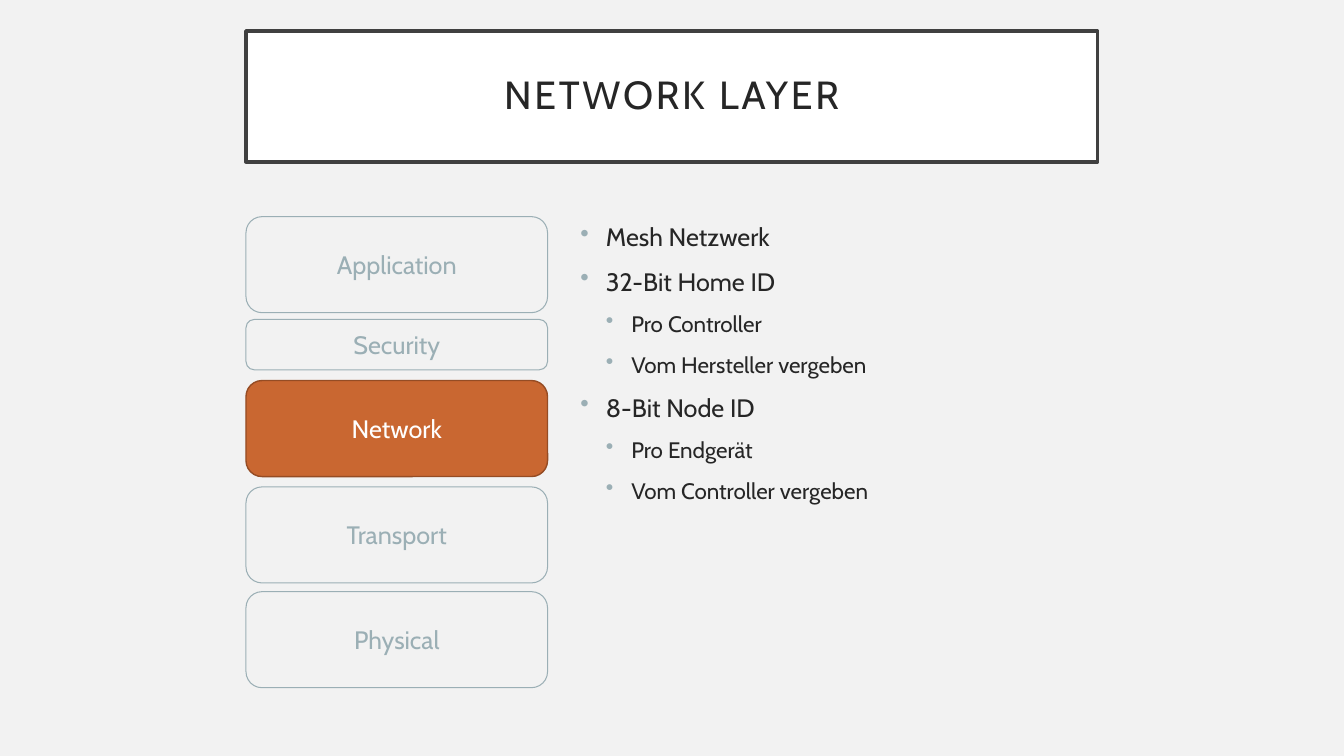
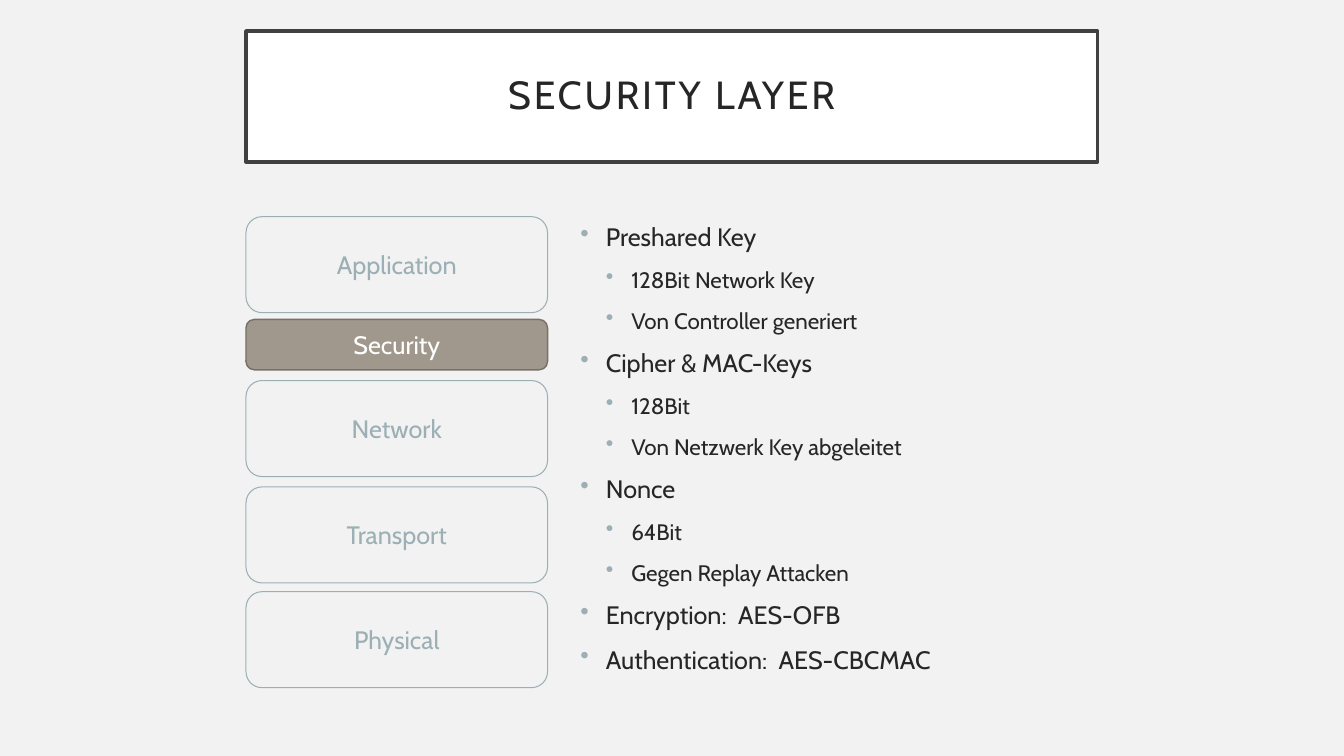
import pptx
import pptx.dml.color
import pptx.enum.shapes
import pptx.enum.text
import pptx.oxml
import pptx.oxml.ns
import pptx.util

Cm = pptx.util.Cm
Pt = pptx.util.Pt
Align = pptx.enum.text.PP_ALIGN
Anchor = pptx.enum.text.MSO_ANCHOR
Shape = pptx.enum.shapes.MSO_SHAPE

# Content: bullets are (level, text)
SLIDES = [
    {
        "title": "NETWORK LAYER",
        "active": "Network",
        "fill": "C96731",
        "line": "954C24",
        "points": [
            (0, "Mesh Netzwerk"),
            (0, "32-Bit Home ID"),
            (1, "Pro Controller"),
            (1, "Vom Hersteller vergeben"),
            (0, "8-Bit Node ID"),
            (1, "Pro Endgerät"),
            (1, "Vom Controller vergeben"),
        ],
    },
    {
        "title": "SECURITY LAYER",
        "active": "Security",
        "fill": "A0988C",
        "line": "767068",
        "points": [
            (0, "Preshared Key"),
            (1, "128Bit Network Key"),
            (1, "Von Controller generiert"),
            (0, "Cipher & MAC-Keys"),
            (1, "128Bit"),
            (1, "Von Netzwerk Key abgeleitet"),
            (0, "Nonce"),
            (1, "64Bit"),
            (1, "Gegen Replay Attacken"),
            (0, "Encryption:  AES-OFB"),
            (0, "Authentication:  AES-CBCMAC"),
        ],
    },
]

# Layer stack: name, top and height in cm
LAYERS = [
    ("Application", 5.46, 2.42),
    ("Security", 8.05, 1.27),
    ("Network", 9.59, 2.42),
    ("Transport", 12.27, 2.42),
    ("Physical", 14.91, 2.42),
]

# Shared style
FONT = "Cabin"
BACK, WHITE, FRAME, INK, MUTED = "F2F2F2", "FFFFFF", "404040", "262626", "9BAFB5"
LEFT, STACK_W = 6.2, 7.6
LIST_X, LIST_W = 14.38, 13.3
INDENT = 0.64
SIZES = (18, 16)


def color(code):
    return pptx.dml.color.RGBColor.from_string(code)


def style(para, size, code):
    para.font.name = FONT
    para.font.size = Pt(size)
    para.font.color.rgb = color(code)


def add_box(slide, kind, place, text, size, ink, fill, line, width):
    box = slide.shapes.add_shape(kind, *[Cm(n) for n in place])
    box.shadow.inherit = False
    if fill:
        box.fill.solid()
        box.fill.fore_color.rgb = color(fill)
    else:
        box.fill.background()
    box.line.color.rgb = color(line)
    box.line.width = Pt(width)
    frame = box.text_frame
    frame.word_wrap = True
    frame.vertical_anchor = Anchor.MIDDLE
    para = frame.paragraphs[0]
    para.text = text
    para.alignment = Align.CENTER
    style(para, size, ink)
    return para


def add_title(slide, text):
    para = add_box(slide, Shape.RECTANGLE, (LEFT, 0.78, 21.46, 3.3), text,
                   28, INK, WHITE, FRAME, 2.5)
    para.line_spacing = 0.9
    para.font._element.set("spc", "200")


def add_bullet(para):
    props = para._p.get_or_add_pPr()
    props.set("marL", str(Cm(INDENT * (para.level + 1))))
    props.set("indent", str(-Cm(INDENT)))
    space = pptx.oxml.ns.nsdecls("a")
    for xml in (
        f'<a:buClr {space}><a:srgbClr val="{MUTED}"/></a:buClr>',
        f'<a:buChar {space} char="•"/>',
    ):
        props.append(pptx.oxml.parse_xml(xml))


def add_list(slide, points):
    box = slide.shapes.add_textbox(Cm(LIST_X), Cm(LAYERS[0][1]), Cm(LIST_W), Cm(12.24))
    frame = box.text_frame
    frame.word_wrap = True
    for i, (level, text) in enumerate(points):
        para = frame.add_paragraph() if i else frame.paragraphs[0]
        para.text = text
        para.level = level
        para.space_before = Pt(10)
        add_bullet(para)
        style(para, SIZES[level], INK)


def add_stack(slide, data):
    for name, top, height in LAYERS:
        if name == data["active"]:
            look = (WHITE, data["fill"], data["line"], 1)
        else:
            look = (MUTED, None, MUTED, 0.75)
        add_box(slide, Shape.ROUNDED_RECTANGLE, (LEFT, top, STACK_W, height),
                name, 18, *look)


def main():
    deck = pptx.Presentation()
    deck.slide_width, deck.slide_height = Cm(33.87), Cm(19.05)
    back = deck.slide_master.background.fill
    back.solid()
    back.fore_color.rgb = color(BACK)
    for data in SLIDES:
        slide = deck.slides.add_slide(deck.slide_layouts[6])
        add_title(slide, data["title"])
        add_list(slide, data["points"])
        add_stack(slide, data)
    deck.save("out.pptx")


if __name__ == "__main__":
    main()
